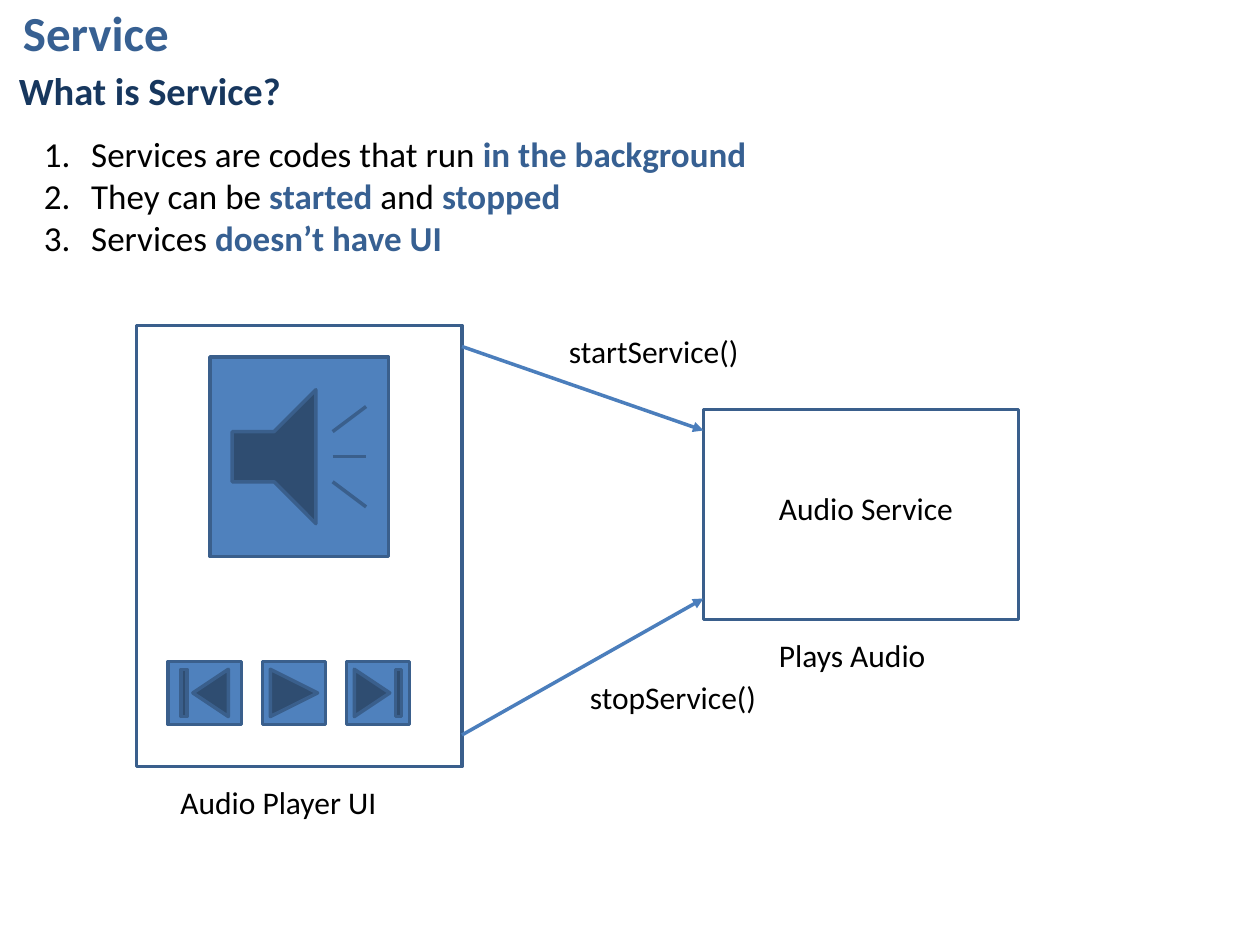
from dataclasses import dataclass

from lxml import etree
from pptx import Presentation
from pptx import util as u
from pptx.dml.color import RGBColor
from pptx.enum import shapes, text
from pptx.oxml.ns import qn

EMU_PER_PX = 9525


def px(length):
    return u.Emu(length * EMU_PER_PX)


@dataclass(frozen=True)
class Theme:
    font: str = "Calibri"
    black: str = "000000"
    accent: str = "376092"
    navy: str = "17375E"
    button: str = "4F81BD"
    outline: str = "3A5F8C"
    arrow: str = "4B7EBC"
    title_size: int = 28
    heading_size: int = 22
    list_size: int = 20
    label_size: int = 18
    line_width: int = 2


class SlideBuilder:
    def __init__(self, slide, theme):
        self.slide = slide
        self.theme = theme

    def style_run(self, run, size, color, bold=False):
        run.font.name = self.theme.font
        run.font.size = u.Pt(size)
        run.font.bold = bold
        run.font.color.rgb = RGBColor.from_string(color)

    def text_box(self, left, top, width, height):
        shape = self.slide.shapes.add_textbox(px(left), px(top), px(width), px(height))
        shape.text_frame.word_wrap = False
        shape.text_frame.auto_size = text.MSO_AUTO_SIZE.SHAPE_TO_FIT_TEXT
        return shape.text_frame

    def label(self, words, left, top, width, height=38, size=None, color=None, bold=False):
        frame = self.text_box(left, top, width, height)
        frame.text = words
        self.style_run(frame.paragraphs[0].runs[0], size or self.theme.label_size,
                       color or self.theme.black, bold)
        return frame

    def title(self, words, left, top, width, height):
        frame = self.label(words, left, top, width, height,
                           self.theme.title_size, self.theme.accent, True)
        frame.auto_size = text.MSO_AUTO_SIZE.NONE
        frame.word_wrap = True
        frame.vertical_anchor = text.MSO_ANCHOR.MIDDLE

    def numbered_list(self, items, left, top, width, height, indent):
        frame = self.text_box(left, top, width, height)
        for index, parts in enumerate(items):
            paragraph = frame.add_paragraph() if index else frame.paragraphs[0]
            properties = paragraph._p.get_or_add_pPr()
            properties.set("marL", str(px(indent)))
            properties.set("indent", str(-px(indent)))
            etree.SubElement(properties, qn("a:buAutoNum"), type="arabicPeriod")
            for position, words in enumerate(parts):
                run = paragraph.add_run()
                run.text = words
                strong = position % 2 == 1
                color = self.theme.accent if strong else self.theme.black
                self.style_run(run, self.theme.list_size, color, strong)

    def box(self, kind, left, top, width, height, fill=None):
        shape = self.slide.shapes.add_shape(kind, px(left), px(top), px(width), px(height))
        shape.shadow.inherit = False
        if fill:
            shape.fill.solid()
            shape.fill.fore_color.rgb = RGBColor.from_string(fill)
        else:
            shape.fill.background()
        shape.line.color.rgb = RGBColor.from_string(self.theme.outline)
        shape.line.width = u.Pt(self.theme.line_width)

    def arrow(self, start, end):
        connector = self.slide.shapes.add_connector(
            shapes.MSO_CONNECTOR.STRAIGHT, *map(px, start + end))
        connector.line.color.rgb = RGBColor.from_string(self.theme.arrow)
        connector.line.width = u.Pt(self.theme.line_width)
        etree.SubElement(connector.line._get_or_add_ln(), qn("a:tailEnd"), type="triangle")
        etree.SubElement(connector._element.spPr, qn("a:effectLst"))


def main():
    presentation = Presentation()
    presentation.slide_width = px(960)
    presentation.slide_height = px(720)
    theme = Theme()
    slide = presentation.slides.add_slide(presentation.slide_layouts[6])
    builder = SlideBuilder(slide, theme)
    kinds = shapes.MSO_SHAPE

    builder.title("Service", 8, 0, 208, 48)
    builder.label("What is Service?", 5, 46, 222, 45, theme.heading_size, theme.navy, True)
    builder.numbered_list([
        ["Services are codes that run ", "in the background"],
        ["They can be ", "started", " and ", "stopped"],
        ["Services ", "doesn’t have UI"],
    ], 24, 96, 560, 107, indent=36)

    builder.box(kinds.RECTANGLE, 104, 248, 248, 336)
    builder.box(kinds.ACTION_BUTTON_SOUND, 160, 272, 136, 152, theme.button)
    button_left = 128
    for kind, width in [
        (kinds.ACTION_BUTTON_BEGINNING, 56),
        (kinds.ACTION_BUTTON_FORWARD_OR_NEXT, 48),
        (kinds.ACTION_BUTTON_END, 48),
    ]:
        builder.box(kind, button_left, 504, width, 48, theme.button)
        button_left += width + 16
    builder.box(kinds.RECTANGLE, 536, 312, 240, 160)

    builder.arrow((352, 264), (536, 328))
    builder.arrow((352, 560), (536, 456))

    for words, left, top, width in [
        ("Audio Service", 584, 368, 154),
        ("startService()", 424, 248, 150),
        ("stopService()", 440, 512, 148),
        ("Audio Player UI", 128, 592, 170),
        ("Plays Audio", 584, 480, 132),
    ]:
        builder.label(words, left, top, width)

    presentation.save("out.pptx")


if __name__ == "__main__":
    main()
